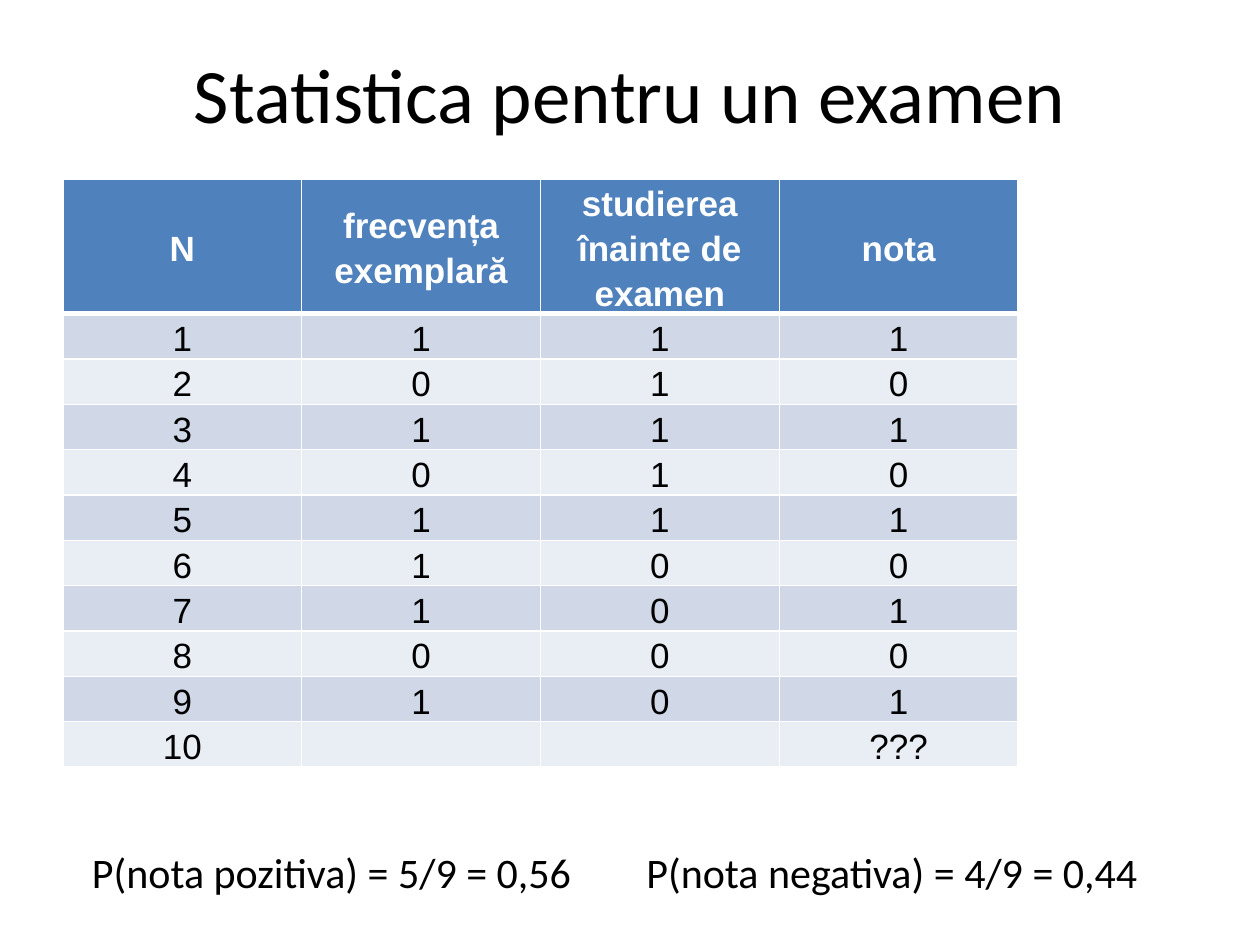
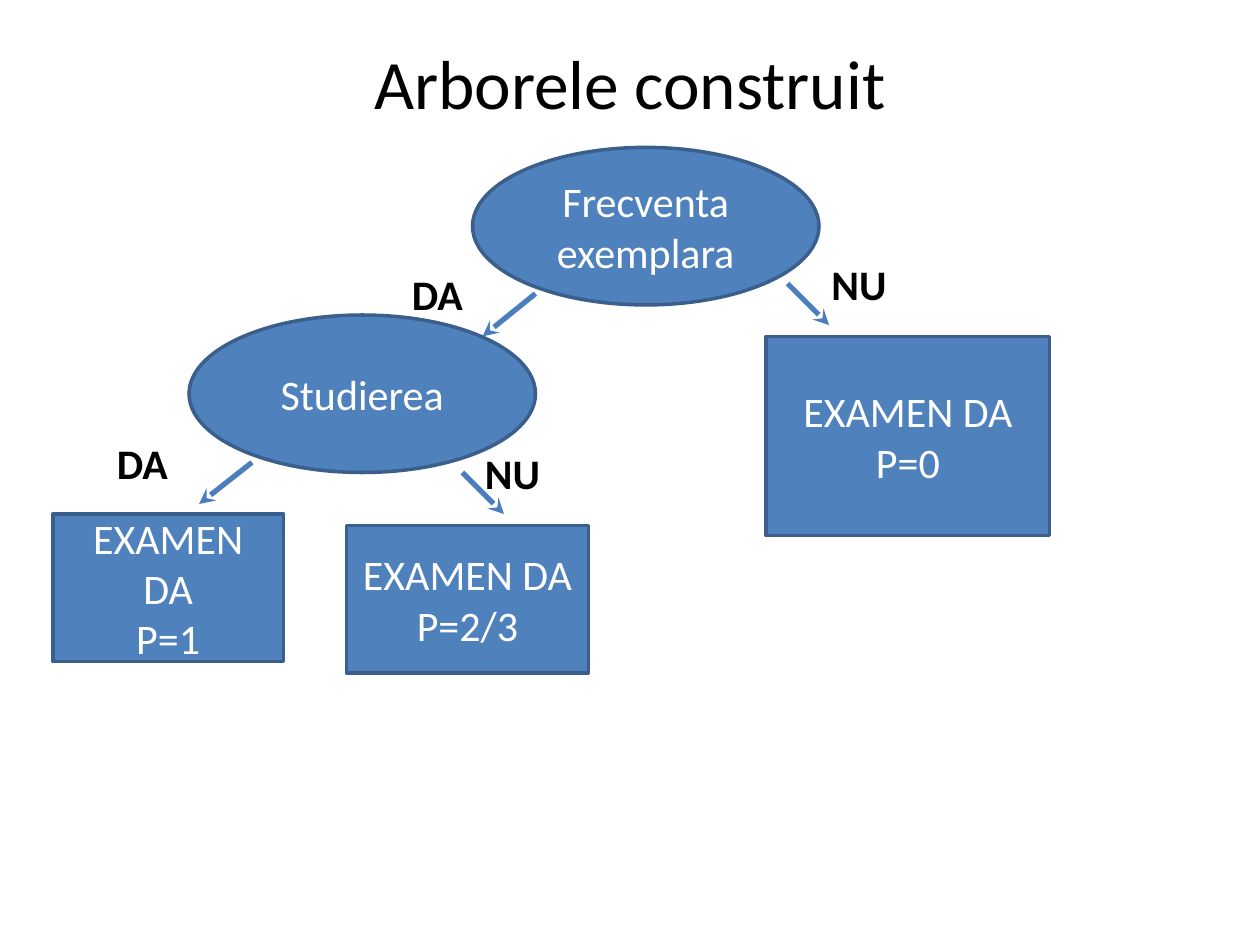
from lxml import etree
from pptx import Presentation
from pptx.dml.color import RGBColor
from pptx.enum.shapes import MSO_CONNECTOR, MSO_SHAPE
from pptx.enum.text import MSO_ANCHOR, PP_ALIGN
from pptx.oxml.ns import qn
from pptx.util import Inches, Pt

# Shared look
FONT = "Calibri"
BLACK, WHITE = "000000", "FFFFFF"
BLUE, OUTLINE, ARROW = "4F81BD", "3A5F8C", "4B7EBC"
BANDS = ("D0D8E8", "E9EDF4")
BODY_SIZE = 24
LABEL_SIZE = (0.92, 0.51)
OVAL_SIZE = (2.75, 1.25)

# Slide 1 content
EXAM_TITLE = "Statistica pentru un examen"
EXAM_HEADER = ("N", "frecvența exemplară", "studierea înainte de examen", "nota")
EXAM_ROWS = [
    (1, 1, 1, 1),
    (2, 0, 1, 0),
    (3, 1, 1, 1),
    (4, 0, 1, 0),
    (5, 1, 1, 1),
    (6, 1, 0, 0),
    (7, 1, 0, 1),
    (8, 0, 0, 0),
    (9, 1, 0, 1),
    (10, "", "", "???"),
]
PROBABILITIES = ("P(nota pozitiva) = 5/9 = 0,56", "P(nota negativa) = 4/9 = 0,44")
TABLE_LEFT, TABLE_TOP, TABLE_WIDTH = 0.5, 1.42, 7.58
HEADER_HEIGHT, ROW_HEIGHT = 0.85, 0.36

# Slide 2 content
TREE_TITLE = "Arborele construit"
QUESTIONS = [("Frecventa exemplara", 3.75, 1.17), ("Studierea", 1.5, 2.5)]
BRANCHES = [  # from, to
    ((4.25, 2.33), (3.83, 2.67)),
    ((3.67, 3.75), (4, 4.08)),
    ((2, 3.67), (1.58, 4)),
    ((6.25, 2.25), (6.58, 2.58)),
]
ANSWERS = [("DA", 3.17, 2.08), ("DA", 0.83, 3.42), ("NU", 6.5, 2), ("NU", 3.75, 3.5)]
OUTCOMES = [
    ("P=1", (0.42, 4.08, 1.83, 1.17)),
    ("P=0", (6.08, 2.67, 2.25, 1.58)),
    ("P=2/3", (2.75, 4.17, 1.92, 1.17)),
]


def rgb(color):
    return RGBColor.from_string(color)


def inches(*lengths):
    return [Inches(length) for length in lengths]


def apply(target, values):
    for name, value in values.items():
        setattr(target, name, value)


def write(frame, text, size=BODY_SIZE, color=BLACK, align=PP_ALIGN.CENTER,
          bold=False, font=FONT, **paragraph_format):
    frame.text = text
    for paragraph in frame.paragraphs:
        apply(paragraph, {"alignment": align, **paragraph_format})
        for run in paragraph.runs:
            apply(run.font, {"name": font, "size": Pt(size), "bold": bold})
            run.font.color.rgb = rgb(color)


def add_titled_slide(deck, title, height, size):
    slide = deck.slides.add_slide(deck.slide_layouts[5])
    holder = slide.shapes.title
    apply(holder, dict(zip(("left", "top", "width", "height"), inches(0.5, 0.3, 9, height))))
    holder.text_frame.vertical_anchor = MSO_ANCHOR.MIDDLE
    write(holder.text_frame, title, size)
    return slide


def add_text(slide, text, box, **style):
    frame = slide.shapes.add_textbox(*inches(*box)).text_frame
    frame.word_wrap = True
    write(frame, text, **style)
    return frame


def add_node(slide, preset, text, box):
    node = slide.shapes.add_shape(preset, *inches(*box))
    node.shadow.inherit = False
    node.fill.solid()
    node.fill.fore_color.rgb = rgb(BLUE)
    node.line.color.rgb = rgb(OUTLINE)
    node.line.width = Pt(2)
    node.text_frame.vertical_anchor = MSO_ANCHOR.MIDDLE
    write(node.text_frame, text, color=WHITE)


def add_branch(slide, start, end):
    branch = slide.shapes.add_connector(MSO_CONNECTOR.STRAIGHT, *inches(*start, *end))
    branch.line.color.rgb = rgb(ARROW)
    branch.line.width = Pt(3)
    etree.SubElement(branch.line._get_or_add_ln(), qn("a:tailEnd"), type="stealth")
    etree.SubElement(branch._element.spPr, qn("a:effectLst"))


def set_borders(cell, widths):
    properties = cell._tc.get_or_add_tcPr()
    for position, (side, width) in enumerate(widths.items()):
        border = etree.Element(qn(f"a:ln{side}"), w=str(Pt(width)))
        fill = etree.SubElement(border, qn("a:solidFill"))
        etree.SubElement(fill, qn("a:srgbClr"), val=WHITE)
        properties.insert(position, border)


def add_exam_table(slide):
    rows = [EXAM_HEADER, *EXAM_ROWS]
    height = HEADER_HEIGHT + ROW_HEIGHT * len(EXAM_ROWS)
    table = slide.shapes.add_table(
        len(rows), len(EXAM_HEADER),
        *inches(TABLE_LEFT, TABLE_TOP, TABLE_WIDTH, height)).table
    cell_format = {
        "margin_left": Inches(0.07), "margin_right": Inches(0.07),
        "margin_top": 0, "margin_bottom": 0, "vertical_anchor": MSO_ANCHOR.MIDDLE,
    }
    for column in table.columns:
        column.width = Inches(TABLE_WIDTH / len(EXAM_HEADER))
    for r, values in enumerate(rows):
        is_header = r == 0
        table.rows[r].height = Inches(HEADER_HEIGHT if is_header else ROW_HEIGHT)
        for c, value in enumerate(values):
            cell = table.cell(r, c)
            apply(cell, cell_format)
            cell.fill.solid()
            cell.fill.fore_color.rgb = rgb(BLUE if is_header else BANDS[(r - 1) % 2])
            write(cell.text_frame, str(value), 20, WHITE if is_header else BLACK,
                  bold=is_header, font="Arial", line_spacing=1.15, space_after=Pt(10))
            set_borders(cell, {"L": 1, "R": 1, "T": 3 if r == 1 else 1,
                               "B": 3 if is_header else 1})


def build_exam_slide(deck):
    slide = add_titled_slide(deck, EXAM_TITLE, 0.87, 44)
    add_exam_table(slide)

    # Both probabilities on one line, the second at a tab stop
    frame = add_text(slide, "\t".join(PROBABILITIES), (0.17, 6.67, 9.42, 0.51),
                     align=PP_ALIGN.LEFT)
    frame.margin_left = Inches(0.56)
    stops = etree.SubElement(frame.paragraphs[0]._p.get_or_add_pPr(), qn("a:tabLst"))
    etree.SubElement(stops, qn("a:tab"), pos=str(Inches(4.4)), algn="l")


def build_tree_slide(deck):
    slide = add_titled_slide(deck, TREE_TITLE, 0.7, 39.6)
    for question, left, top in QUESTIONS:
        add_node(slide, MSO_SHAPE.OVAL, question, (left, top, *OVAL_SIZE))
    for start, end in BRANCHES:
        add_branch(slide, start, end)
    for answer, left, top in ANSWERS:
        add_text(slide, answer, (left, top, *LABEL_SIZE), align=PP_ALIGN.LEFT, bold=True)
    for probability, box in OUTCOMES:
        add_node(slide, MSO_SHAPE.RECTANGLE, f"EXAMEN DA\n{probability}", box)


def main():
    deck = Presentation()
    deck.slide_width, deck.slide_height = inches(10, 7.5)
    build_exam_slide(deck)
    build_tree_slide(deck)
    deck.save("out.pptx")


if __name__ == "__main__":
    main()
